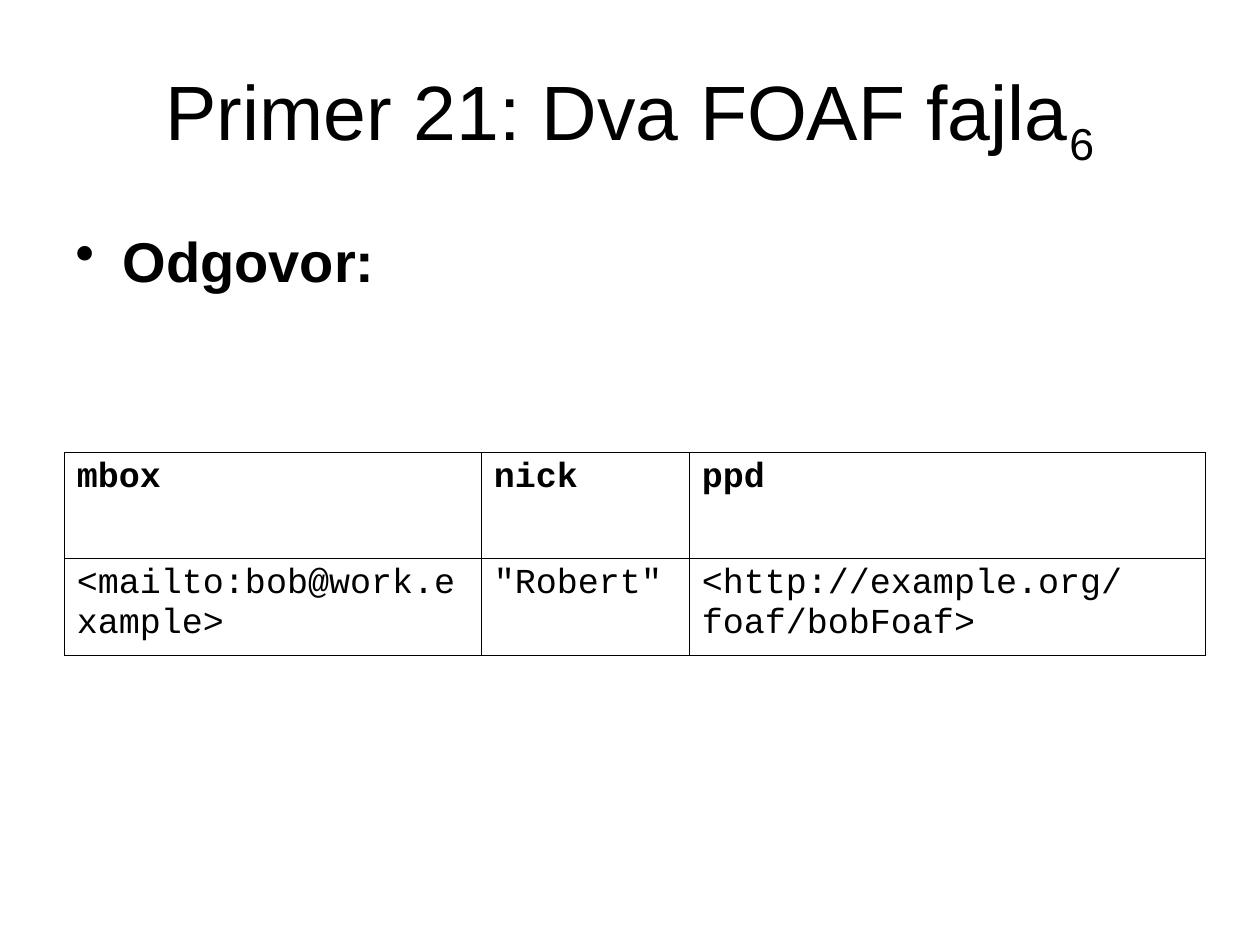
from lxml.etree import SubElement
from pptx import Presentation
from pptx.dml.color import RGBColor
from pptx.enum.text import MSO_ANCHOR as Anchor, PP_ALIGN as Align
from pptx.oxml.ns import qn
from pptx.util import Inches, Pt

COLUMNS, ROWS = 100, 75


def color(value):
    """Turn a hex string into a colour."""
    return RGBColor.from_string(value)


class Deck:
    """Holds the style and the current slide, placed on a 100 by 75 grid."""

    ink = "000000"
    heading_font = "Arial"
    code_font = "Courier New"
    border_width = 0.45

    def __init__(self):
        """Start a presentation with one blank slide."""
        self.deck = Presentation()
        self.deck.slide_width, self.deck.slide_height = Inches(10), Inches(7.5)
        self.slide = self.deck.slides.add_slide(self.deck.slide_layouts[6])

    def across(self, columns):
        """Convert grid columns to a length."""
        return round(self.deck.slide_width * columns / COLUMNS)

    def down(self, rows):
        """Convert grid rows to a length."""
        return round(self.deck.slide_height * rows / ROWS)

    def run(self, paragraph, words, size, font, bold=False):
        """Add one styled run and return it."""
        run = paragraph.add_run()
        run.text = words
        run.font.size, run.font.name, run.font.bold = Pt(size), font, bold
        run.font.color.rgb = color(self.ink)
        return run

    def frame(self, left, top, width, height, anchor):
        """Add a wrapping text box and return its first paragraph."""
        box = self.slide.shapes.add_textbox(
            self.across(left), self.down(top), self.across(width), self.down(height))
        box.text_frame.word_wrap = True
        box.text_frame.vertical_anchor = anchor
        return box.text_frame.paragraphs[0]

    def title(self, words, subscript, *place):
        """Add a centred title that ends in a subscript."""
        heading = self.frame(*place, Anchor.MIDDLE)
        heading.alignment = Align.CENTER
        self.run(heading, words, 44, self.heading_font)
        part = self.run(heading, subscript, 44, self.heading_font)
        part.font._element.set("baseline", "-25000")

    def bullet(self, words, *place):
        """Add a bold bullet point with a hanging indent."""
        point = self.frame(*place, Anchor.TOP)
        point.space_before = Pt(8)
        properties = point._p.get_or_add_pPr()
        indent = self.across(3.75)
        properties.set("marL", str(indent))
        properties.set("indent", str(-indent))
        SubElement(properties, qn("a:buChar"), char="•")
        self.run(point, words, 32, self.heading_font, bold=True)

    def border(self, cell):
        """Draw a thin line on each side of a cell."""
        properties = cell._tc.get_or_add_tcPr()
        for side in ("lnL", "lnR", "lnT", "lnB"):
            line = SubElement(properties, qn(f"a:{side}"), w=str(Pt(self.border_width)))
            fill = SubElement(line, qn("a:solidFill"))
            SubElement(fill, qn("a:srgbClr"), val=self.ink)

    def table(self, records, left, top, widths, heights):
        """Add a ruled table whose first row is bold."""
        table = self.slide.shapes.add_table(
            len(heights), len(widths), self.across(left), self.down(top),
            self.across(sum(widths)), self.down(sum(heights))).table
        table.first_row = table.horz_banding = False
        for column, width in zip(table.columns, widths):
            column.width = self.across(width)
        for index, (row, height, record) in enumerate(zip(table.rows, heights, records)):
            row.height = self.down(height)
            for cell, words in zip(row.cells, record):
                self.border(cell)
                cell.fill.background()
                entry = cell.text_frame.paragraphs[0]
                entry.space_before = Pt(5)
                self.run(entry, words, 20, self.code_font, bold=index == 0)


def main():
    """Build and save the slide."""
    page = Deck()
    page.title("Primer 21: Dva FOAF fajla", "6", 5, 3, 90, 12.5)
    page.bullet("Odgovor:", 5, 17.5, 90, 49.5)
    answer = [
        ("mbox", "nick", "ppd"),
        ("<mailto:bob@work.example>", '"Robert"', "<http://example.org/foaf/bobFoaf>"),
    ]
    page.table(answer, 5.1, 35.9, widths=(33.1, 16.5, 41), heights=(8.4, 7.7))
    page.deck.save("out.pptx")


if __name__ == "__main__":
    main()
